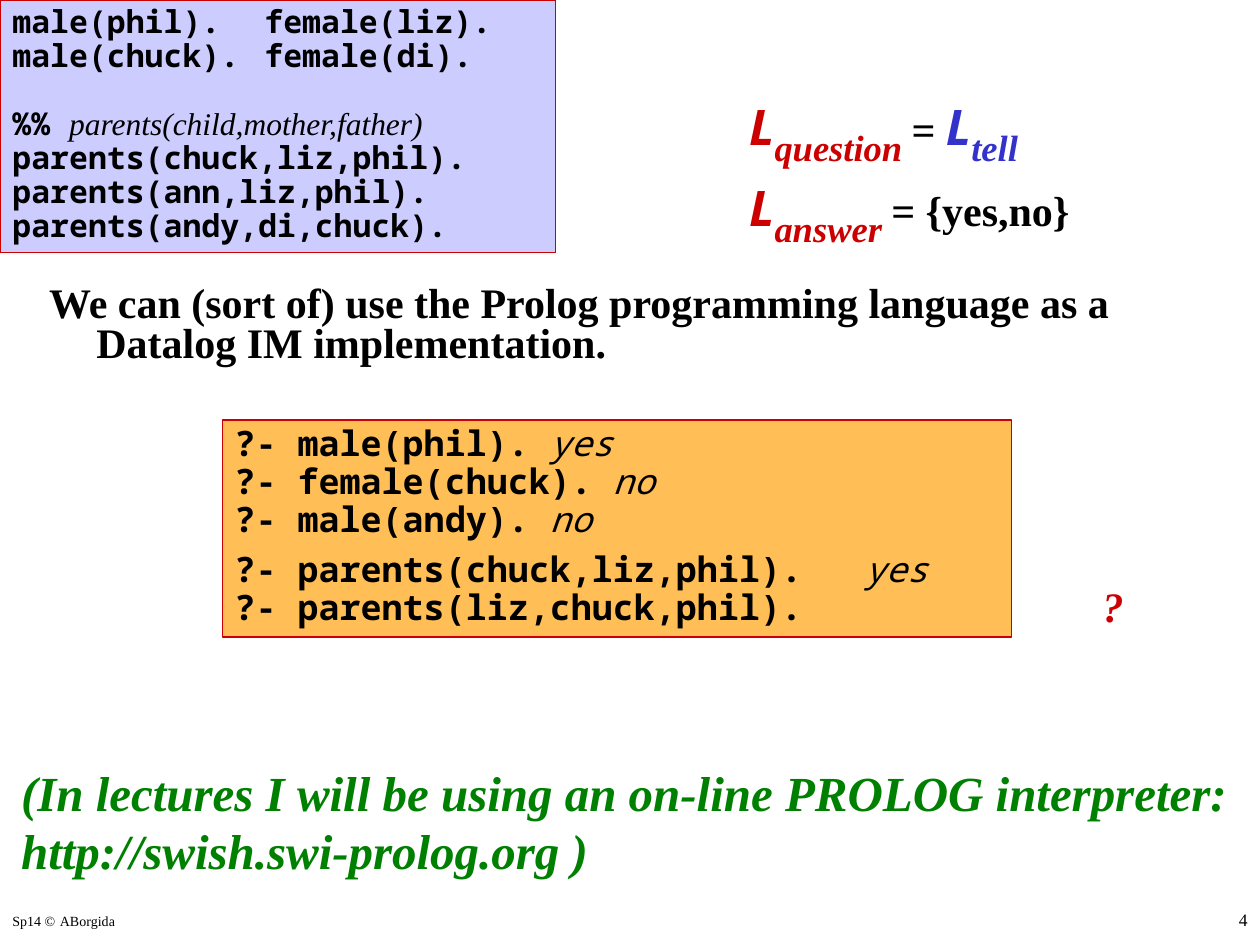
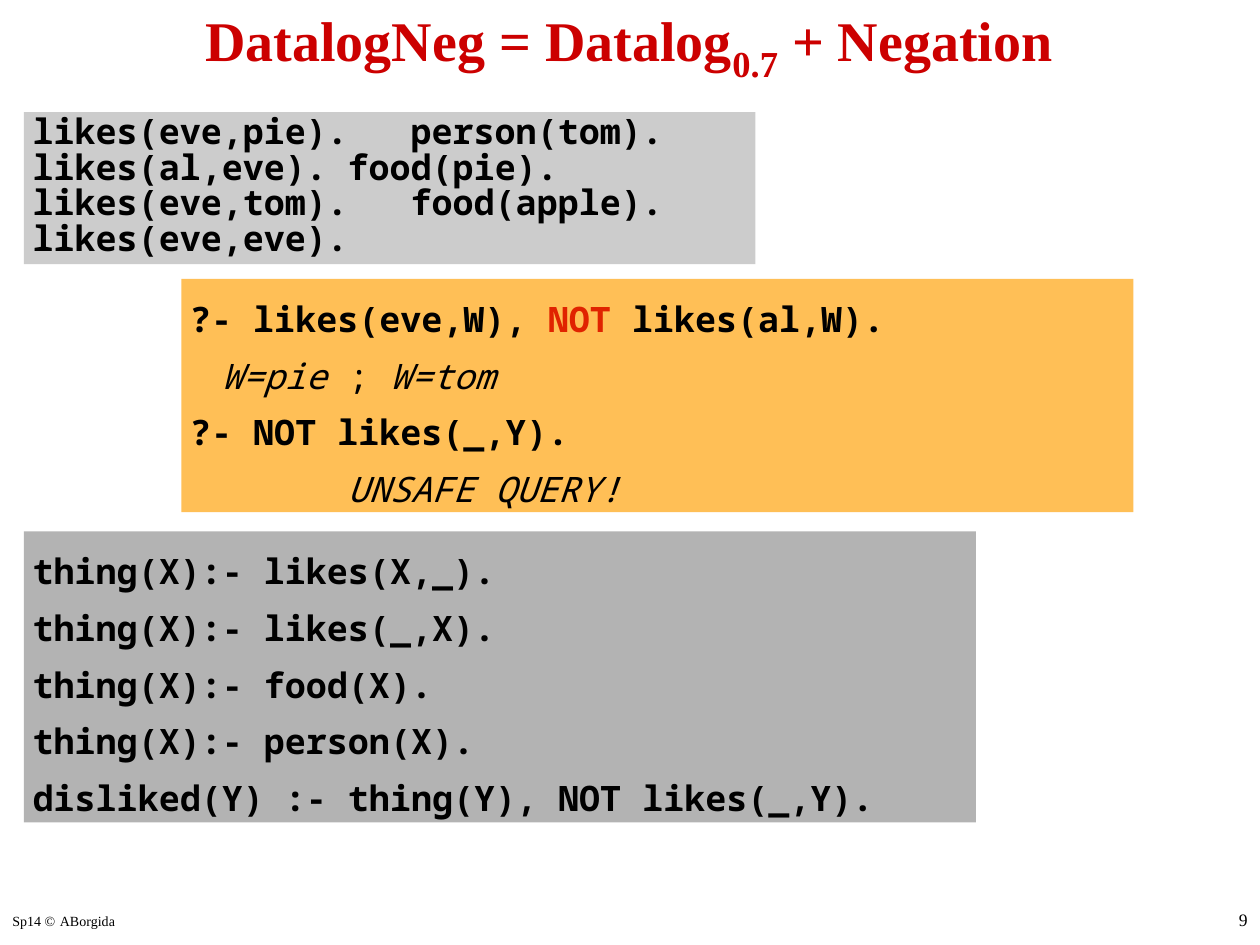
"""Build two lecture slides on Datalog queries and negation."""
from dataclasses import dataclass, replace
from lxml import etree
from pptx import Presentation
from pptx.dml.color import RGBColor
from pptx.enum import shapes, text
from pptx.oxml import ns
from pptx.util import Pt


@dataclass(frozen=True)
class Style:
    """Character formatting of one run."""
    font: str
    size: float
    color: str = "000000"
    bold: bool = True
    italic: bool = False
    baseline: int = 0


@dataclass(frozen=True)
class Line:
    """One paragraph: (text, style) runs and its layout."""
    runs: tuple
    spacing: float = 1.0
    before: float = 0
    margin: float = 0
    hanging: float = 0
    tab: float = 0
    align: text.PP_ALIGN = text.PP_ALIGN.LEFT


class Theme:
    """Colours, fonts and text styles shared by the slides."""
    red, blue, green, alert = "CC0000", "3333CC", "008000", "E02300"
    lavender, orange, light_gray, gray = "CCCCFF", "FFBF56", "CCCCCC", "B3B3B3"
    serif, mono, sans = "Times New Roman", "Noto Sans Mono", "Open Sans"
    width, height = 720, 540
    inset, tight_inset = (7.2, 3.6), (5, 2.2)

    title = Style(serif, 32, red)
    title_index = replace(title, size=36, baseline=-25000)
    body = Style(serif, 24)
    facts = Style(mono, 18)
    signature = Style(serif, 18, bold=False, italic=True)
    code = Style(mono, 20)
    answer = replace(code, bold=False, italic=True)
    language = Style(sans, 28, red, italic=True)
    index = Style(serif, 36, red, italic=True, baseline=-25000)
    remark = Style(serif, 28, green, italic=True)
    question_mark = replace(body, color=red, italic=True)
    footer = Style(serif, 8, bold=False)
    page = replace(footer, size=10)


def rgb(color):
    """Return a colour object for a hex string."""
    return RGBColor.from_string(color)


def write_run(paragraph, content, style):
    """Append one styled run to a paragraph."""
    run = paragraph.add_run()
    run.text = content
    font = run.font
    font.name, font.size = style.font, Pt(style.size)
    font.bold, font.italic = style.bold, style.italic
    font.color.rgb = rgb(style.color)
    if style.baseline:
        run._r.get_or_add_rPr().set("baseline", str(style.baseline))


def write_lines(text_frame, lines, inset=Theme.inset,
                anchor=text.MSO_ANCHOR.TOP):
    """Fill a text frame with lines."""
    text_frame.word_wrap = True
    text_frame.auto_size = text.MSO_AUTO_SIZE.NONE
    text_frame.vertical_anchor = anchor
    text_frame.margin_left = text_frame.margin_right = Pt(inset[0])
    text_frame.margin_top = text_frame.margin_bottom = Pt(inset[1])
    for number, line in enumerate(lines):
        paragraph = text_frame.add_paragraph() if number else text_frame.paragraphs[0]
        properties = paragraph._p.get_or_add_pPr()
        properties.set("marL", str(Pt(line.margin)))
        properties.set("indent", str(Pt(-line.hanging)))
        if line.tab:
            tabs = etree.SubElement(properties, ns.qn("a:tabLst"))
            etree.SubElement(tabs, ns.qn("a:tab"), pos=str(Pt(line.tab)), algn="l")
        paragraph.alignment = line.align
        paragraph.line_spacing = line.spacing
        if line.before:
            paragraph.space_before = Pt(line.before)
        for content, style in line.runs:
            write_run(paragraph, content, style)


def add_text(slide, box, lines):
    """Add a plain text box."""
    shape = slide.shapes.add_textbox(*map(Pt, box))
    write_lines(shape.text_frame, lines)


def add_panel(slide, box, fill, lines, border=None, inset=Theme.inset):
    """Add a filled rectangle holding code."""
    shape = slide.shapes.add_shape(shapes.MSO_SHAPE.RECTANGLE, *map(Pt, box))
    shape.shadow.inherit = False
    shape.fill.solid()
    shape.fill.fore_color.rgb = rgb(fill)
    if border:
        shape.line.color.rgb = rgb(border)
        shape.line.width = Pt(0.75)
    else:
        shape.line.fill.background()
    write_lines(shape.text_frame, lines, inset)


def add_title(slide, line):
    """Place and fill the title placeholder."""
    title = slide.shapes.title
    title.left, title.top, title.width, title.height = map(Pt, (71.5, 0, 576, 48))
    write_lines(title.text_frame, [line], anchor=text.MSO_ANCHOR.MIDDLE)


def add_footer(slide, page):
    """Add the copyright line and the page number."""
    width, height = 150, 24
    top = Theme.height - height
    copyright_runs = (("Sp14 ©", Theme.footer), (" ", Theme.page),
                      ("ABorgida", Theme.footer))
    add_text(slide, (0, top, width, height), [Line(copyright_runs)])
    add_text(slide, (Theme.width - width, top, width, height),
             [Line(((str(page), Theme.page),), align=text.PP_ALIGN.RIGHT)])


def code_lines(rows, style=Theme.code, **layout):
    """Turn code strings into lines of one style."""
    return [Line(((row, style),), **layout) for row in rows]


def query_line(query, answer="", spacing=0.9):
    """Return a query with its answer in a second column."""
    runs = ((query, Theme.code),)
    if answer:
        runs += (("\t" + answer, Theme.answer),)
    return Line(runs, spacing, tab=360)


def build_prolog_slide(slide):
    """Show Prolog used as a Datalog implementation."""
    theme = Theme
    add_text(slide, (21, 160, 678, 52), [Line(
        (("We can (sort of) use the Prolog programming language as a "
          "Datalog IM implementation.", theme.body),),
        0.8, margin=27, hanging=27)])
    facts = code_lines(["male(phil).\tfemale(liz).", "male(chuck).\tfemale(di)."],
                       theme.facts, spacing=0.9, tab=162)
    facts.append(Line((("%% ", theme.facts),
                       ("parents(child,mother,father)", theme.signature)),
                      0.9, before=19.4))
    facts += code_lines(["parents(chuck,liz,phil).", "parents(ann,liz,phil).",
                         "parents(andy,di,chuck)."], theme.facts, spacing=0.9)
    add_panel(slide, (0, 0, 317.5, 144.5), theme.lavender, facts, theme.red)
    add_panel(slide, (127, 240, 451, 124), theme.orange, [
        query_line("?- male(phil).", "yes"),
        query_line("?- female(chuck).", "no"),
        query_line("?- male(andy).", "no"),
        query_line("?- parents(chuck,liz,phil).", "yes", 1.2),
        query_line("?- parents(liz,chuck,phil)."),
    ], theme.red)
    tell_language = replace(theme.language, color=theme.blue)
    tell_index = replace(theme.index, color=theme.blue)
    add_text(slide, (421, 48, 218, 76), [
        Line((("L", theme.language), ("question ", theme.index),
              ("= ", theme.body), ("L", tell_language), ("tell", tell_index)), 0.8),
        Line((("L", theme.language), ("answer ", theme.index),
              ("= {yes,no}", theme.body)), 0.8, before=7),
    ])
    add_text(slide, (5, 432, 715, 75), code_lines(
        ["(In lectures I will be using an on-line PROLOG interpreter:",
         "http://swish.swi-prolog.org )"], theme.remark))
    add_text(slide, (623, 328, 33, 37), [Line((("?", theme.question_mark),))])


def build_negation_slide(slide):
    """Show Datalog extended with negation."""
    theme = Theme
    add_title(slide, Line((("DatalogNeg = Datalog", theme.title),
                           ("0.7", theme.title_index),
                           (" + Negation", theme.title)),
                          align=text.PP_ALIGN.CENTER))
    plain = replace(theme.answer, italic=False)
    add_panel(slide, (103.7, 159.4, 544, 133.3), theme.orange, [
        Line((("?- likes(eve,W), ", theme.code),
              ("NOT", replace(theme.code, color=theme.alert)),
              (" likes(al,W).", theme.code)), 1.35),
        Line((("W=pie ", theme.answer), ("; ", plain), ("W=tom", theme.answer)),
             1.35, margin=18),
        Line((("?- NOT likes(_,Y).", theme.code),), 1.35),
        Line((("UNSAFE QUERY!", theme.answer),), 1.35, margin=90),
    ], inset=theme.tight_inset)
    add_panel(slide, (13.7, 64, 418, 87), theme.light_gray, code_lines(
        ["likes(eve,pie).\tperson(tom).", "likes(al,eve).\tfood(pie).",
         "likes(eve,tom).\tfood(apple).", "likes(eve,eve)."],
        spacing=0.85, tab=204), inset=theme.tight_inset)
    add_panel(slide, (13.7, 303.6, 544, 166.3), theme.gray, code_lines(
        ["thing(X):- likes(X,_).", "thing(X):- likes(_,X).",
         "thing(X):- food(X).", "thing(X):- person(X).",
         "disliked(Y) :- thing(Y), NOT likes(_,Y)."],
        spacing=1.35), inset=theme.tight_inset)


def main():
    """Build and save the presentation."""
    presentation = Presentation()
    presentation.slide_width = Pt(Theme.width)
    presentation.slide_height = Pt(Theme.height)
    title_only, blank = presentation.slide_layouts[5], presentation.slide_layouts[6]
    for layout, build, page in ((blank, build_prolog_slide, 4),
                                (title_only, build_negation_slide, 9)):
        slide = presentation.slides.add_slide(layout)
        add_footer(slide, page)
        build(slide)
    presentation.save("out.pptx")


if __name__ == "__main__":
    main()
